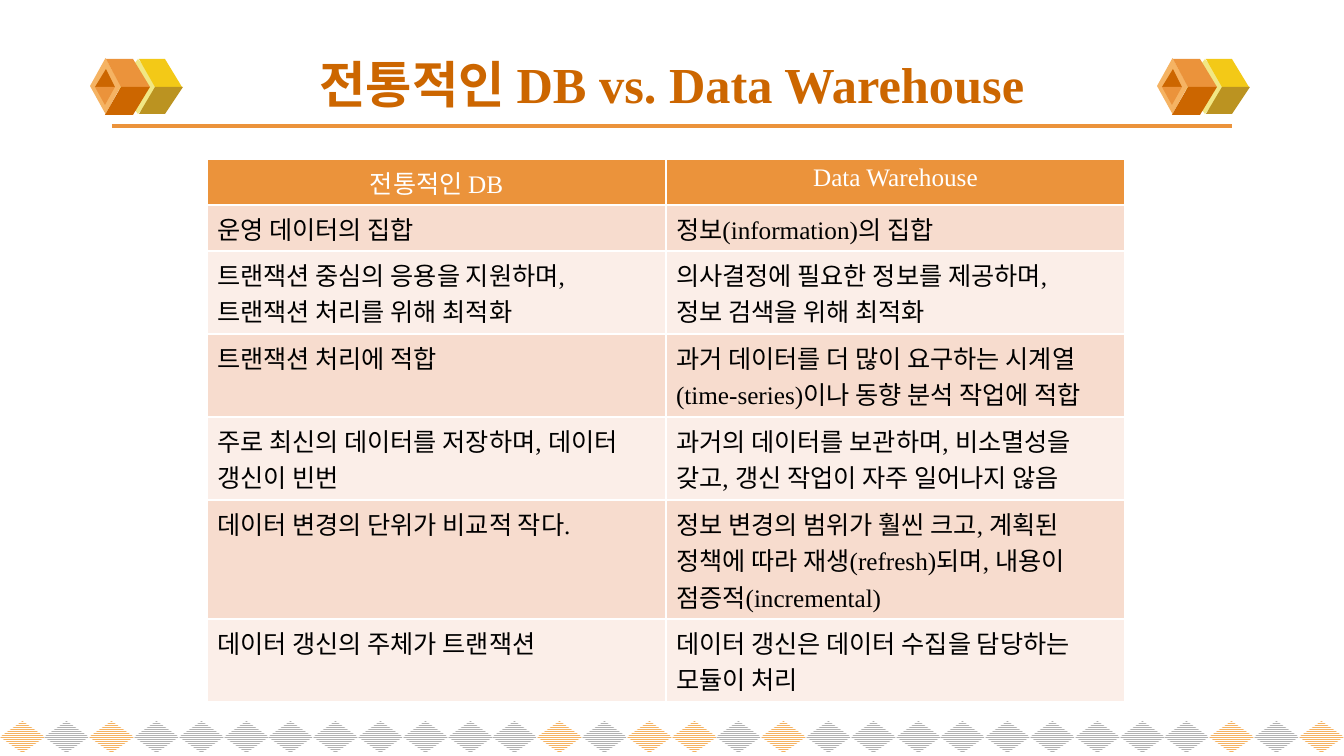
import dataclasses
import typing

import lxml.etree
import pptx
import pptx.dml.color
import pptx.enum.dml
import pptx.enum.shapes
import pptx.enum.text
import pptx.oxml.ns
import pptx.util

SCALE = 914400 / 100.8  # EMU in one px
WIDTH, HEIGHT = 1344, 756
FONT = "Times New Roman"
COLORS = {
    "white": "FFFFFF", "black": "000000", "orange": "EB933B",
    "rust": "CC6600", "peach": "F5B363", "gray": "B2B2B2",
    "cream": "F1E785", "yellow": "F3C917", "olive": "BB9321",
    "dark": "F7DCCE", "light": "FBEEE8",
}
SHAPE = pptx.enum.shapes.MSO_SHAPE
ALIGN = pptx.enum.text.PP_ALIGN
Point = tuple[int, int]


@dataclasses.dataclass(frozen=True)
class Gem:
    left: int
    top: int
    width: int
    height: int
    color: str


@dataclasses.dataclass(frozen=True)
class Face:
    points: tuple[Point, ...]
    color: str


@dataclasses.dataclass(frozen=True)
class Row:
    height: int
    left: str
    right: str


# Cube emblem, in back to front order
CUBE: list[Gem | Face] = [
    Gem(116, 59, 44, 55, "cream"),
    Face(((155, 87), (182, 87), (165, 59), (139, 59)), "yellow"),
    Face(((155, 87), (183, 87), (165, 114), (139, 114)), "olive"),
    Gem(90, 58, 31, 56, "peach"),
    Face(((121, 87), (150, 87), (133, 59), (106, 59)), "orange"),
    Face(((121, 87), (150, 87), (133, 115), (105, 115)), "rust"),
    Face(((106, 69), (95, 87), (115, 87)), "rust"),
    Face(((105, 105), (95, 87), (115, 87)), "orange"),
]
SHIFTS = (0, 1067)

# Bottom band: the same run of 15 gems, twice
RUN, GEMS = 15, 30
BRIGHT = {0, 2, 12, 14}

ROWS = [
    Row(46, "전통적인 DB", "Data Warehouse"),
    Row(46, "운영 데이터의 집합", "정보(information)의 집합"),
    Row(83, "트랜잭션 중심의 응용을 지원하며,\n트랜잭션 처리를 위해 최적화",
        "의사결정에 필요한 정보를 제공하며,\n정보 검색을 위해 최적화"),
    Row(83, "트랜잭션 처리에 적합",
        "과거 데이터를 더 많이 요구하는 시계열(time-series)이나 동향 분석 작업에 적합"),
    Row(83, "주로 최신의 데이터를 저장하며, 데이터 갱신이 빈번",
        "과거의 데이터를 보관하며, 비소멸성을 갖고, 갱신 작업이 자주 일어나지 않음"),
    Row(119, "데이터 변경의 단위가 비교적 작다.",
        "정보 변경의 범위가 훨씬 크고, 계획된 정책에 따라 재생(refresh)되며, 내용이 점증적(incremental)"),
    Row(83, "데이터 갱신의 주체가 트랜잭션",
        "데이터 갱신은 데이터 수집을 담당하는 모듈이 처리"),
]


def px(size: int) -> pptx.util.Emu:
    return pptx.util.Emu(round(size * SCALE))


def rgb(name: str) -> pptx.dml.color.RGBColor:
    return pptx.dml.color.RGBColor.from_string(COLORS[name])


def paint(shape: typing.Any, color: str) -> None:
    shape.shadow.inherit = False
    shape.fill.solid()
    shape.fill.fore_color.rgb = rgb(color)
    shape.line.fill.background()


def draw_gem(shapes: typing.Any, gem: Gem, shift: int = 0) -> typing.Any:
    shape = shapes.add_shape(SHAPE.DIAMOND, px(gem.left + shift), px(gem.top),
                             px(gem.width), px(gem.height))
    paint(shape, gem.color)
    return shape


def draw_face(shapes: typing.Any, face: Face, shift: int) -> None:
    spots = [(px(x + shift), px(y)) for x, y in face.points]
    outline = shapes.build_freeform(*spots[0])
    outline.add_line_segments(spots[1:], close=True)
    paint(outline.convert_to_shape(), face.color)


def draw_band(shapes: typing.Any) -> None:
    for index in range(GEMS):
        color = "peach" if index % RUN in BRIGHT else "gray"
        left = index * WIDTH // GEMS
        fill = draw_gem(shapes, Gem(left, 721, 45, 32, color)).fill
        fill.patterned()
        fill.pattern = pptx.enum.dml.MSO_PATTERN.NARROW_HORIZONTAL
        fill.fore_color.rgb = rgb(color)
        fill.back_color.rgb = rgb("white")


def draw_rule(shapes: typing.Any) -> None:
    rule = shapes.add_connector(pptx.enum.shapes.MSO_CONNECTOR.STRAIGHT,
                                px(112), px(126), px(1232), px(126))
    rule.line.color.rgb = rgb("orange")
    rule.line.width = pptx.util.Pt(2.25)
    props = rule._element.spPr
    lxml.etree.SubElement(props, pptx.oxml.ns.qn("a:effectLst"))


def style(frame: typing.Any, size: int, color: str, bold: bool,
          align: typing.Any) -> None:
    for para in frame.paragraphs:
        para.alignment = align
        for run in para.runs:
            run.font.name = FONT
            run.font.size = pptx.util.Pt(size)
            run.font.bold = bold
            run.font.color.rgb = rgb(color)


def draw_title(shapes: typing.Any) -> None:
    box = shapes.add_textbox(px(67), px(45), px(1210), px(77))
    frame = box.text_frame
    frame.word_wrap = True
    frame.vertical_anchor = pptx.enum.text.MSO_ANCHOR.MIDDLE
    frame.text = "전통적인 DB vs. Data Warehouse"
    style(frame, 36, "rust", True, ALIGN.CENTER)


def edge(cell: typing.Any) -> None:
    props = cell._tc.get_or_add_tcPr()
    for side in ("lnL", "lnR", "lnT", "lnB"):
        line = lxml.etree.SubElement(props, pptx.oxml.ns.qn(f"a:{side}"))
        line.set("w", str(pptx.util.Pt(1)))
        fill = lxml.etree.SubElement(line, pptx.oxml.ns.qn("a:solidFill"))
        tone = lxml.etree.SubElement(fill, pptx.oxml.ns.qn("a:srgbClr"))
        tone.set("val", COLORS["white"])


def draw_table(shapes: typing.Any) -> None:
    height = sum(row.height for row in ROWS)
    table = shapes.add_table(len(ROWS), 2, px(207), px(159),
                             px(918), px(height)).table
    for index, row in enumerate(ROWS):
        table.rows[index].height = px(row.height)
        head = index == 0
        back = "orange" if head else "dark" if index % 2 else "light"
        for col, text in enumerate((row.left, row.right)):
            cell = table.cell(index, col)
            edge(cell)
            cell.fill.solid()
            cell.fill.fore_color.rgb = rgb(back)
            cell.text_frame.text = text
            style(cell.text_frame, 18, "white" if head else "black", False,
                  ALIGN.CENTER if head else ALIGN.LEFT)


def main() -> None:
    deck = pptx.Presentation()
    deck.slide_width, deck.slide_height = px(WIDTH), px(HEIGHT)
    shapes = deck.slides.add_slide(deck.slide_layouts[6]).shapes

    # Decoration
    draw_band(shapes)
    draw_rule(shapes)
    for shift in SHIFTS:
        for part in CUBE:
            if isinstance(part, Gem):
                draw_gem(shapes, part, shift)
            else:
                draw_face(shapes, part, shift)

    # Content
    draw_title(shapes)
    draw_table(shapes)
    deck.save("out.pptx")


if __name__ == "__main__":
    main()
